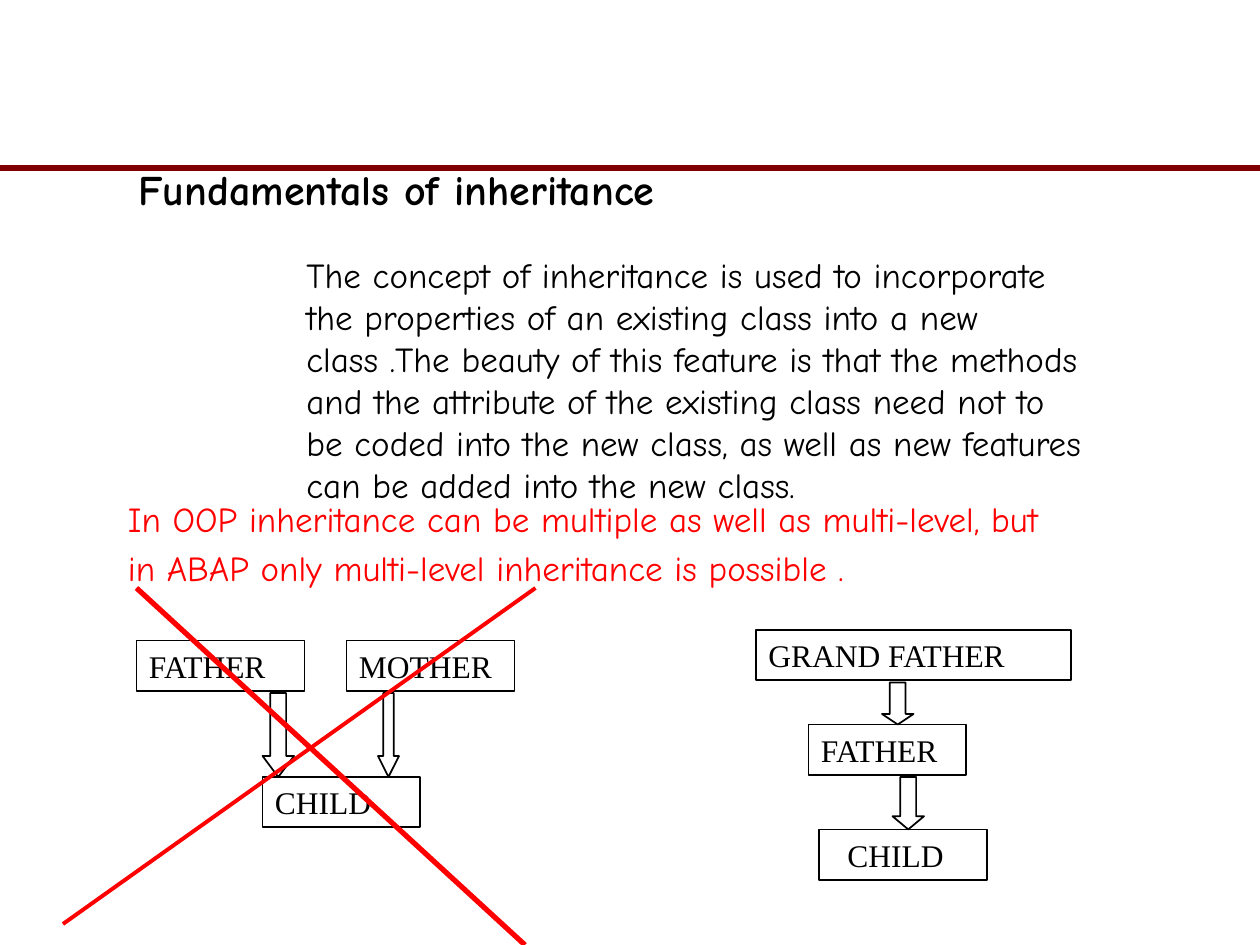
import pptx
import pptx.util
import pptx.dml.color
import pptx.enum.shapes
import pptx.oxml
import pptx.oxml.ns
from dataclasses import dataclass

Pt = pptx.util.Pt
Color = pptx.dml.color.RGBColor
ShapeType = pptx.enum.shapes.MSO_SHAPE


@dataclass(frozen=True)
class Theme:
    black: Color = Color(0, 0, 0)
    white: Color = Color(255, 255, 255)
    red: Color = Color(255, 0, 0)
    maroon: Color = Color(128, 0, 0)
    prose_font: str = "Comic Neue"
    box_font: str = "Times New Roman"
    title_size: int = 24
    body_size: int = 20
    box_size: int = 18


THEME = Theme()
BOX_HEIGHT = 28.8
INSET = 7.2

TITLE = "Fundamentals of inheritance"
CONCEPT = (
    "The concept of inheritance is used to incorporate the properties of an existing "
    "class into a new class .The beauty of this feature is that the methods and the "
    "attribute of the existing class need not to be coded into the new class, as well "
    "as new features can be added into the new class."
)
LIMITATION = (
    "In OOP inheritance can be multiple as well as multi-level, but in ABAP only "
    "multi-level inheritance is possible ."
)

# label, left, top, width, extra text indent, fill
MULTIPLE_BOXES = [
    ("FATHER", 78, 366, 96, 0, None),
    ("MOTHER", 198, 366, 96, 0, None),
    ("CHILD", 150, 444, 90, 0, None),
]
MULTILEVEL_BOXES = [
    ("GRAND FATHER", 432, 360, 180, 0, None),
    ("FATHER", 462, 414, 90, 0, None),
    ("CHILD", 468, 474, 96, 9, THEME.white),
]
MULTIPLE_ARROWS = [(150, 396, 18, 48), (216, 396, 12, 48)]
MULTILEVEL_ARROWS = [(504, 390, 18, 24), (510, 444, 18, 30)]
CROSS_LINES = [((78, 336), (300, 540), 3), ((306, 336), (36, 528), 2.25)]


def write_text(shape, text, font_name, size, color, bold=False, line_spacing=None):
    shape.text_frame.word_wrap = True
    paragraph = shape.text_frame.paragraphs[0]
    paragraph.text = text
    paragraph.alignment = pptx.enum.text.PP_ALIGN.LEFT
    if line_spacing:
        paragraph.line_spacing = Pt(line_spacing)
    paragraph.font.name = font_name
    paragraph.font.size = Pt(size)
    paragraph.font.bold = bold
    paragraph.font.color.rgb = color


def add_prose(slide, text, bounds, size, color, **style):
    shape = slide.shapes.add_textbox(*map(Pt, bounds))
    write_text(shape, text, THEME.prose_font, size, color, **style)


def add_outlined(slide, kind, bounds, fill=None):
    shape = slide.shapes.add_shape(kind, *map(Pt, bounds))
    shape.shadow.inherit = False
    if fill is None:
        shape.fill.background()
    else:
        shape.fill.solid()
        shape.fill.fore_color.rgb = fill
    shape.line.color.rgb = THEME.black
    shape.line.width = Pt(1)
    return shape


def add_class_box(slide, label, left, top, width, indent, fill):
    shape = add_outlined(slide, ShapeType.RECTANGLE, (left, top, width, BOX_HEIGHT), fill)
    shape.text_frame.margin_left = Pt(INSET + indent)
    shape.text_frame.vertical_anchor = pptx.enum.text.MSO_ANCHOR.TOP
    write_text(shape, label, THEME.box_font, THEME.box_size, THEME.black)


def add_down_arrow(slide, left, top, width, height):
    shape = add_outlined(slide, ShapeType.DOWN_ARROW, (left, top, width, height))
    shape.adjustments[0] = 0.5
    shape.adjustments[1] = height / 4 / width


def add_line(slide, start, end, color, width):
    connector = slide.shapes.add_connector(
        pptx.enum.shapes.MSO_CONNECTOR.STRAIGHT, *map(Pt, (*start, *end))
    )
    connector.line.color.rgb = color
    connector.line.width = Pt(width)
    properties = connector._element.spPr
    properties.append(pptx.oxml.parse_xml(f"<a:effectLst {pptx.oxml.ns.nsdecls('a')}/>"))


def main():
    presentation = pptx.Presentation()
    presentation.slide_width = Pt(720)
    presentation.slide_height = Pt(540)
    slide = presentation.slides.add_slide(presentation.slide_layouts[6])

    add_line(slide, (0, 96), (720, 96), THEME.maroon, 3)
    add_prose(slide, CONCEPT, (168, 141.4, 462, 152), THEME.body_size, THEME.black)
    add_prose(slide, TITLE, (72, 90, 456, 36), THEME.title_size, THEME.black, bold=True)
    add_prose(slide, LIMITATION, (66, 276.6, 546, 64), THEME.body_size, THEME.red,
              line_spacing=28)

    for box in MULTIPLE_BOXES + MULTILEVEL_BOXES:
        add_class_box(slide, *box)
    for arrow in MULTIPLE_ARROWS + MULTILEVEL_ARROWS:
        add_down_arrow(slide, *arrow)
    for start, end, width in CROSS_LINES:
        add_line(slide, start, end, THEME.red, width)

    presentation.save("out.pptx")


if __name__ == "__main__":
    main()
